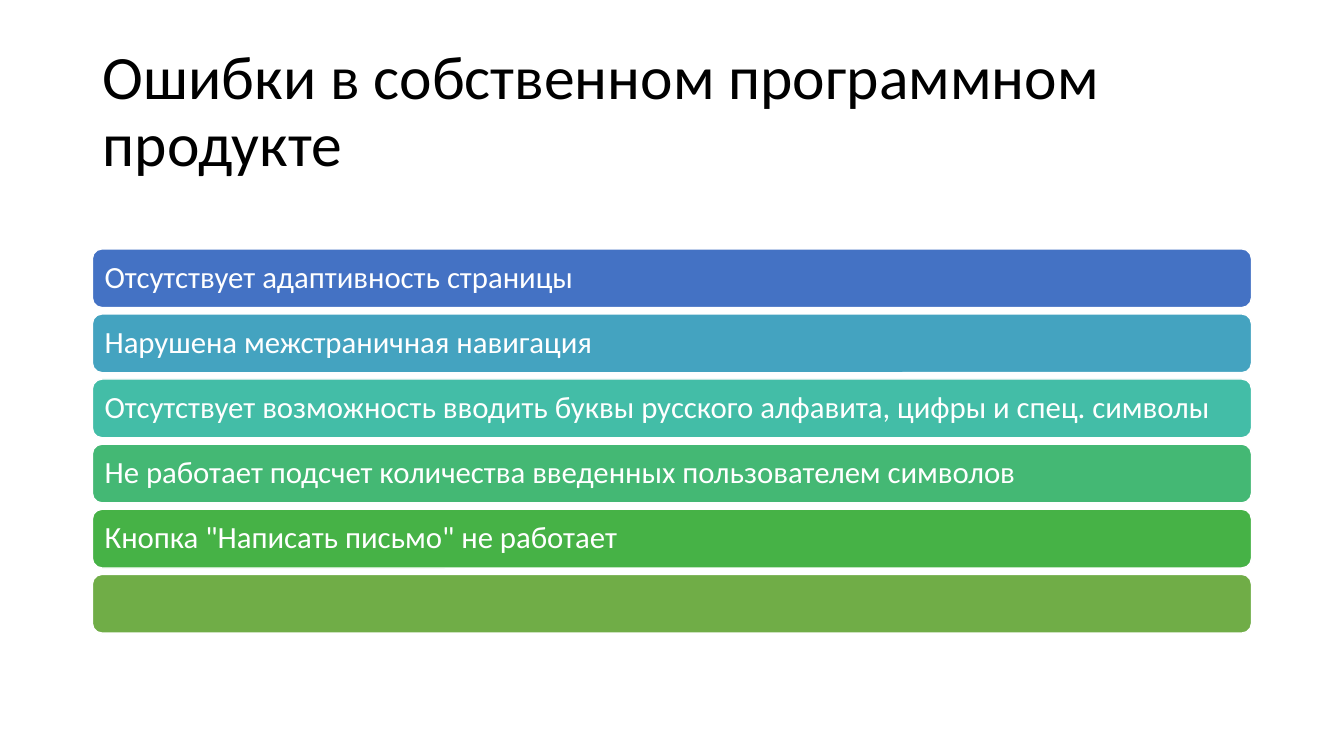
from pptx import Presentation
from pptx.dml.color import RGBColor
from pptx.enum.shapes import MSO_SHAPE
from pptx.enum.text import MSO_ANCHOR, MSO_AUTO_SIZE, PP_ALIGN
from pptx.util import Pt

PX = 9525  # EMU per px, 96 px to the inch
LEFT, WIDTH = 88, 1104
BARS_TOP, BAR_HEIGHT, BAR_PITCH = 237, 56, 62

ERRORS = [
    ("Отсутствует адаптивность страницы", "4472C4"),
    ("Нарушена межстраничная навигация", "44A3C0"),
    ("Отсутствует возможность вводить буквы русского алфавита, цифры и спец. символы", "43BDA7"),
    ("Не работает подсчет количества введенных пользователем символов", "44B874"),
    ('Кнопка "Написать письмо" не работает', "46B246"),
    ("", "70AD47"),
]


def color(hex_value):
    return RGBColor.from_string(hex_value)


def write(frame, text, *, size, ink, inset_x, inset_y):
    frame.word_wrap = True
    frame.auto_size = MSO_AUTO_SIZE.NONE
    frame.vertical_anchor = MSO_ANCHOR.MIDDLE
    frame.margin_left = frame.margin_right = inset_x * PX
    frame.margin_top = frame.margin_bottom = inset_y * PX
    paragraph = frame.paragraphs[0]
    paragraph.alignment = PP_ALIGN.LEFT
    paragraph.line_spacing = 0.9
    run = paragraph.add_run()
    run.text = text
    run.font.name = "Calibri"
    run.font.size = Pt(size)
    run.font.color.rgb = color(ink)


deck = Presentation()
deck.slide_width, deck.slide_height = 1280 * PX, 720 * PX
slide = deck.slides.add_slide(deck.slide_layouts[5])

heading = slide.shapes.title
heading.left, heading.top = LEFT * PX, 38 * PX
heading.width, heading.height = WIDTH * PX, 139 * PX
write(heading.text_frame, "Ошибки в собственном программном продукте",
      size=44, ink="000000", inset_x=10, inset_y=5)

for row, (error, fill) in enumerate(ERRORS):
    bar = slide.shapes.add_shape(
        MSO_SHAPE.ROUNDED_RECTANGLE, LEFT * PX, (BARS_TOP + row * BAR_PITCH) * PX,
        WIDTH * PX, BAR_HEIGHT * PX)
    bar.shadow.inherit = False
    bar.fill.solid()
    bar.fill.fore_color.rgb = color(fill)
    bar.line.color.rgb = color("FFFFFF")
    bar.line.width = Pt(1)
    if error:
        write(bar.text_frame, error, size=22, ink="FFFFFF", inset_x=9, inset_y=9)

deck.save("out.pptx")
